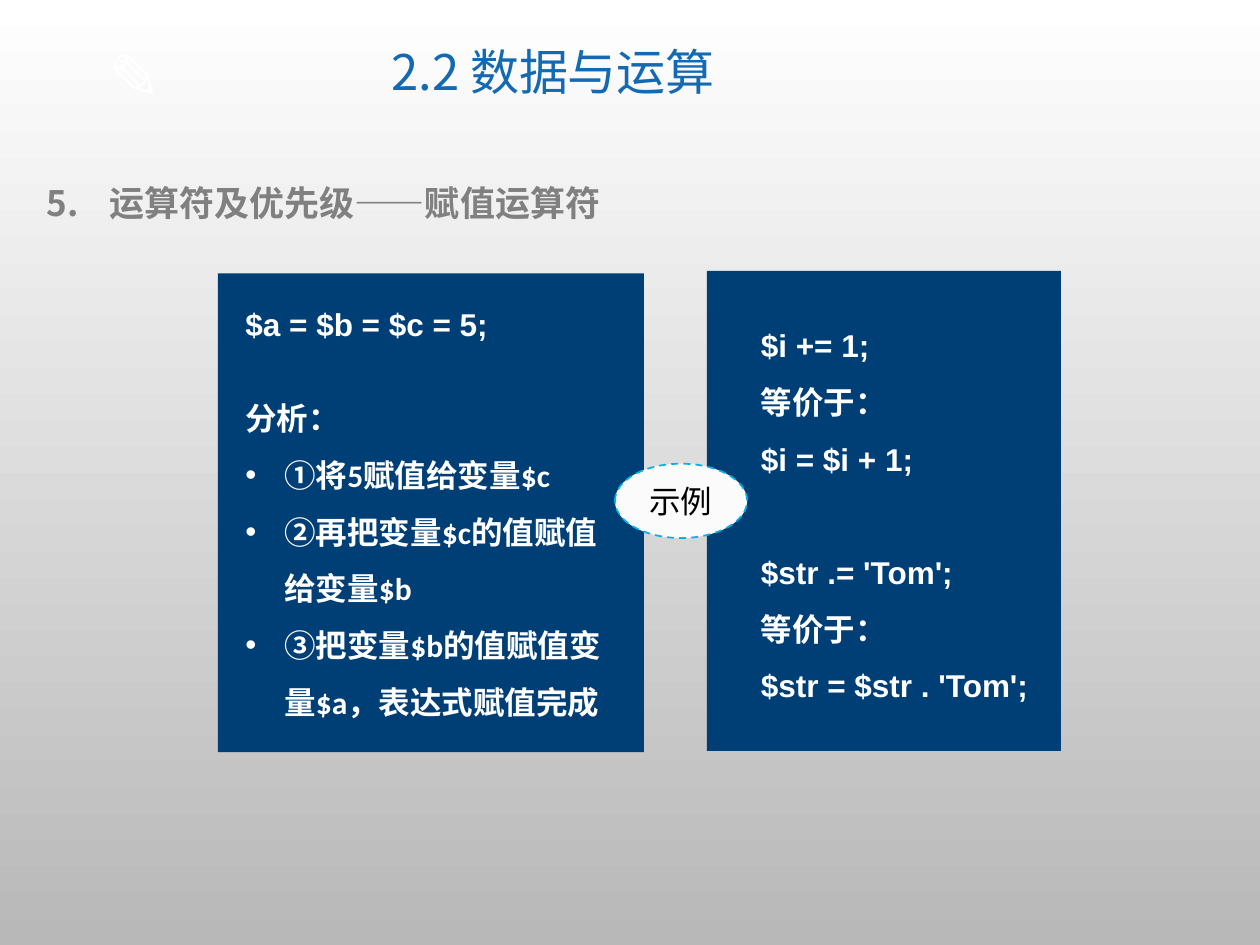
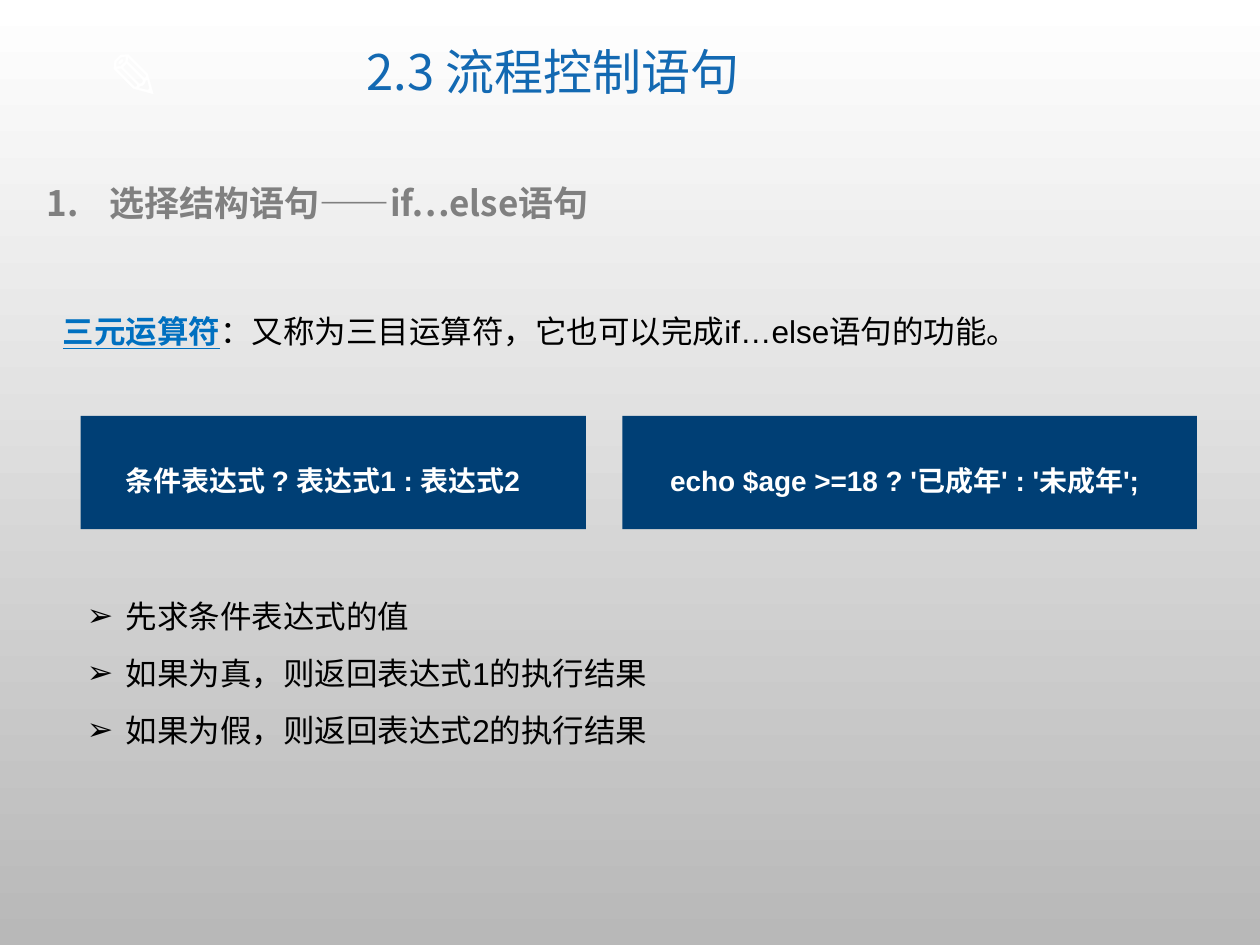
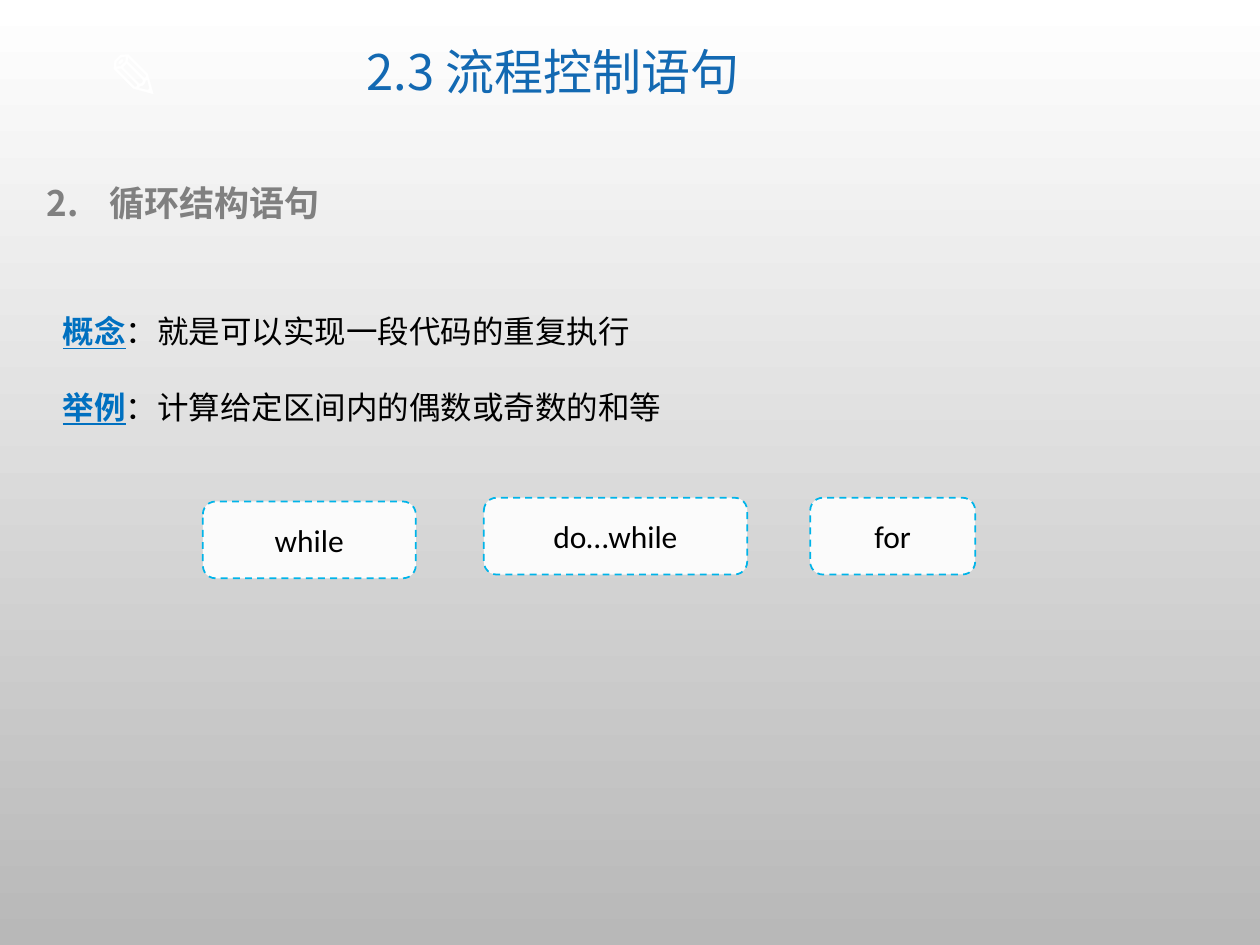
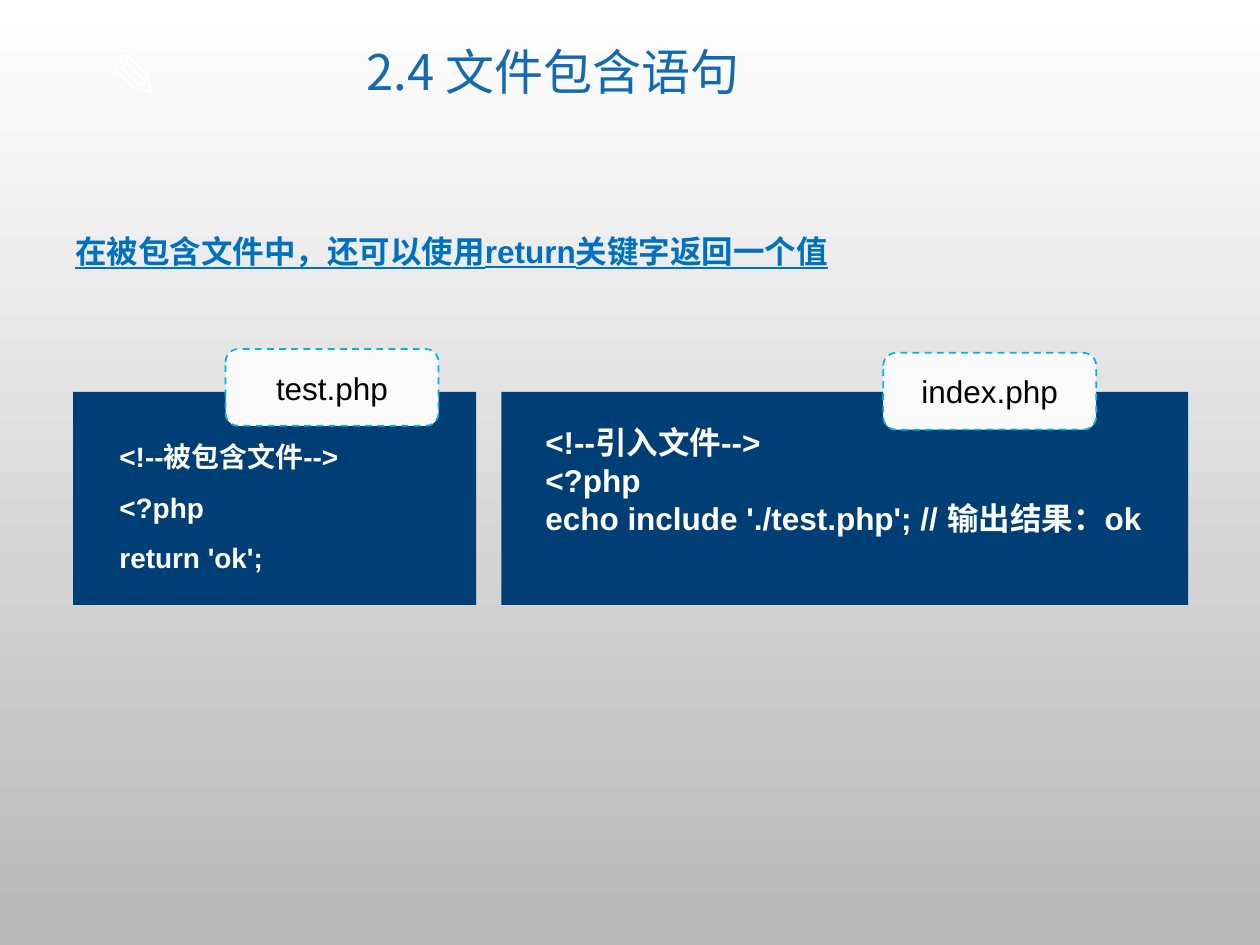
from dataclasses import dataclass
from lxml.etree import SubElement
from pptx import Presentation
from pptx.dml.color import RGBColor
from pptx.enum.dml import MSO_LINE
from pptx.enum.shapes import MSO_SHAPE
from pptx.enum.text import MSO_ANCHOR, PP_ALIGN
from pptx.oxml.ns import qn
from pptx.util import Inches, Pt

COLORS = {
    "top": "FFFFFF", "bottom": "B8B8B8", "title": "1369B2", "heading": "808080",
    "panel": "003F75", "white": "FFFFFF", "key": "0070C0", "black": "000000",
    "label": "FBFBFB", "dash": "00B4E9",
}
CJK = "Noto Sans CJK SC"
COLUMNS, ROWS = 10, 7.5
CELL = Inches(1)


@dataclass
class Style:
    font: str
    size: int
    color: str
    bold: bool = False
    underline: bool = False


STYLES = {
    "pencil": Style(CJK, 36, "white", True),
    "title": Style(CJK, 28, "title"),
    "heading": Style(CJK, 20, "heading", True),
    "key": Style("Arial", 18, "key", True, True),
    "body": Style("Arial", 18, "black"),
    "code": Style("Arial", 18, "white", True),
    "small code": Style("Arial", 16, "white", True),
    "analysis": Style("Calibri", 18, "white", True),
    "file": Style("Arial", 18, "black"),
    "tag": Style("Calibri", 18, "black"),
}


@dataclass
class Para:
    runs: list
    spacing: float = 1
    bullet: str = ""
    number: int = 0
    before: float = 0
    align: PP_ALIGN = PP_ALIGN.LEFT


def lines(style, texts, spacing=1.5, bullet=""):
    return [Para([(text, style)], spacing, bullet) for text in texts]


def term(key, explanation):
    return Para([(key, "key"), (explanation, "body")], 2)


assignment = lines("code", ["$i += 1;", "等价于：", "$i = $i + 1;",
                            "$str .= 'Tom';", "等价于：", "$str = $str . 'Tom';"])
assignment[3].before = 32.4

PENCIL_AT = (0.76, 0.24, 0.86, 0.71)
TITLE_AT = (1.81, 0.17, 5.16, 0.85)
HEADING_AT = (0.27, 1.39, 9.22, 0.44)
ROUND, OVAL = MSO_SHAPE.ROUNDED_RECTANGLE, MSO_SHAPE.OVAL

SLIDES = [
    {
        "title": "2.2 数据与运算",
        "heading": (5, "运算符及优先级——赋值运算符"),
        "panels": [(1.73, 2.17, 3.38, 3.8), (5.61, 2.15, 2.81, 3.81)],
        "texts": [
            ((1.85, 2.37, 3.3, 0.4), lines("code", ["$a = $b = $c = 5;"], 1)),
            ((1.85, 3.12, 3.14, 2.68),
             lines("analysis", ["分析："], 1)
             + lines("analysis", ["①将5赋值给变量$c", "②再把变量$c的值赋值给变量$b",
                                  "③把变量$b的值赋值变量$a，表达式赋值完成"], bullet="•")),
            ((5.94, 2.39, 2.49, 3.28), assignment),
        ],
        "labels": [("示例", "tag", OVAL, (4.88, 3.68, 1.05, 0.59))],
    },
    {
        "title": "2.3 流程控制语句",
        "heading": (1, "选择结构语句——if…else语句"),
        "panels": [(0.64, 3.3, 4.01, 0.9), (4.94, 3.3, 4.56, 0.9)],
        "texts": [
            ((0.4, 2.13, 9.19, 0.61),
             [term("三元运算符", "：又称为三目运算符，它也可以完成if…else语句的功能。")]),
            ((0.9, 3.5, 3.65, 0.45),
             lines("small code", ["条件表达式 ? 表达式1 : 表达式2"])),
            ((5.22, 3.5, 4.15, 0.45),
             lines("small code", ["echo $age >=18 ? '已成年' : '未成年';"])),
            ((0.59, 4.54, 8.28, 1.46),
             lines("body", ["先求条件表达式的值", "如果为真，则返回表达式1的执行结果",
                            "如果为假，则返回表达式2的执行结果"], bullet="➢")),
        ],
    },
    {
        "title": "2.3 流程控制语句",
        "heading": (2, "循环结构语句"),
        "texts": [
            ((0.4, 2.13, 9.19, 1.31),
             [term("概念", "：就是可以实现一段代码的重复执行"),
              term("举例", "：计算给定区间内的偶数或奇数的和等")]),
        ],
        "labels": [
            ("while", "tag", ROUND, (1.61, 3.98, 1.69, 0.61)),
            ("do…while", "tag", ROUND, (3.84, 3.95, 2.09, 0.61)),
            ("for", "tag", ROUND, (6.43, 3.95, 1.31, 0.61)),
        ],
    },
    {
        "title": "2.4 文件包含语句",
        "panels": [(0.58, 3.11, 3.2, 1.69), (3.98, 3.11, 5.45, 1.69)],
        "texts": [
            ((0.85, 3.31, 2.93, 1.31),
             lines("small code", ["<!--被包含文件-->", "<?php", "return 'ok';"])),
            ((4.23, 3.31, 5.17, 1.31),
             lines("code", ["<!--引入文件-->", "<?php",
                            "echo include './test.php'; // 输出结果：ok"], 1)),
            ((0.5, 1.49, 7.65, 0.61),
             lines("key", ["在被包含文件中，还可以使用return关键字返回一个值"], 2)),
        ],
        "labels": [
            ("test.php", "file", ROUND, (1.79, 2.77, 1.69, 0.61)),
            ("index.php", "file", ROUND, (7.01, 2.8, 1.69, 0.61)),
        ],
    },
]


def rgb(name):
    return RGBColor.from_string(COLORS[name])


def place(at):
    return [int(cells * CELL) for cells in at]


def add_marker(paragraph, para):
    indent = Inches(0.5 if para.number else 0.31)
    properties = paragraph._p.get_or_add_pPr()
    properties.set("marL", str(indent))
    properties.set("indent", str(-indent))
    if para.number:
        SubElement(properties, qn("a:buAutoNum"), type="arabicPeriod", startAt=str(para.number))
    else:
        SubElement(properties, qn("a:buFont"), typeface="Arial")
        SubElement(properties, qn("a:buChar"), char=para.bullet)


def write(frame, paras):
    for index, para in enumerate(paras):
        paragraph = frame.add_paragraph() if index else frame.paragraphs[0]
        if para.bullet or para.number:
            add_marker(paragraph, para)
        paragraph.alignment = para.align
        paragraph.line_spacing = float(para.spacing)
        if para.before:
            paragraph.space_before = Pt(para.before)
        for text, style_name in para.runs:
            style = STYLES[style_name]
            run = paragraph.add_run()
            run.text = text
            font = run.font
            font.name, font.size = style.font, Pt(style.size)
            font.bold, font.underline = style.bold, style.underline
            font.color.rgb = rgb(style.color)
            SubElement(font._element, qn("a:ea"), typeface=CJK)


def add_text(slide, at, paras, wrap=True, anchor=MSO_ANCHOR.TOP):
    frame = slide.shapes.add_textbox(*place(at)).text_frame
    frame.word_wrap = wrap
    frame.vertical_anchor = anchor
    write(frame, paras)


def add_filled(slide, preset, at, color):
    shape = slide.shapes.add_shape(preset, *place(at))
    shape.shadow.inherit = False
    shape.fill.solid()
    shape.fill.fore_color.rgb = rgb(color)
    shape.line.fill.background()
    return shape


def add_label(slide, text, style, preset, at):
    label = add_filled(slide, preset, at, "label")
    label.line.color.rgb = rgb("dash")
    label.line.width = Pt(1)
    label.line.dash_style = MSO_LINE.DASH
    label.text_frame.word_wrap = True
    label.text_frame.vertical_anchor = MSO_ANCHOR.MIDDLE
    write(label.text_frame, [Para([(text, style)], align=PP_ALIGN.CENTER)])


def set_background(master):
    fill = master.background.fill
    fill.gradient()
    fill.gradient_angle = 270
    for stop, position, name in zip(fill.gradient_stops, (0, 1), ("top", "bottom")):
        stop.position = position
        stop.color.rgb = rgb(name)


def build_slide(prs, content):
    slide = prs.slides.add_slide(prs.slide_layouts[6])
    add_text(slide, PENCIL_AT, lines("pencil", ["✎"], 1), wrap=False)
    add_text(slide, TITLE_AT,
             [Para([(content["title"], "title")], 0.9, align=PP_ALIGN.CENTER)],
             anchor=MSO_ANCHOR.MIDDLE)
    if "heading" in content:
        number, text = content["heading"]
        add_text(slide, HEADING_AT, [Para([(text, "heading")], number=number)])
    for at in content.get("panels", []):
        add_filled(slide, MSO_SHAPE.RECTANGLE, at, "panel")
    for at, paras in content["texts"]:
        add_text(slide, at, paras)
    for label in content.get("labels", []):
        add_label(slide, *label)


def main():
    prs = Presentation()
    prs.slide_width, prs.slide_height = place((COLUMNS, ROWS))
    set_background(prs.slide_master)
    for content in SLIDES:
        build_slide(prs, content)
    prs.save("out.pptx")


if __name__ == "__main__":
    main()
